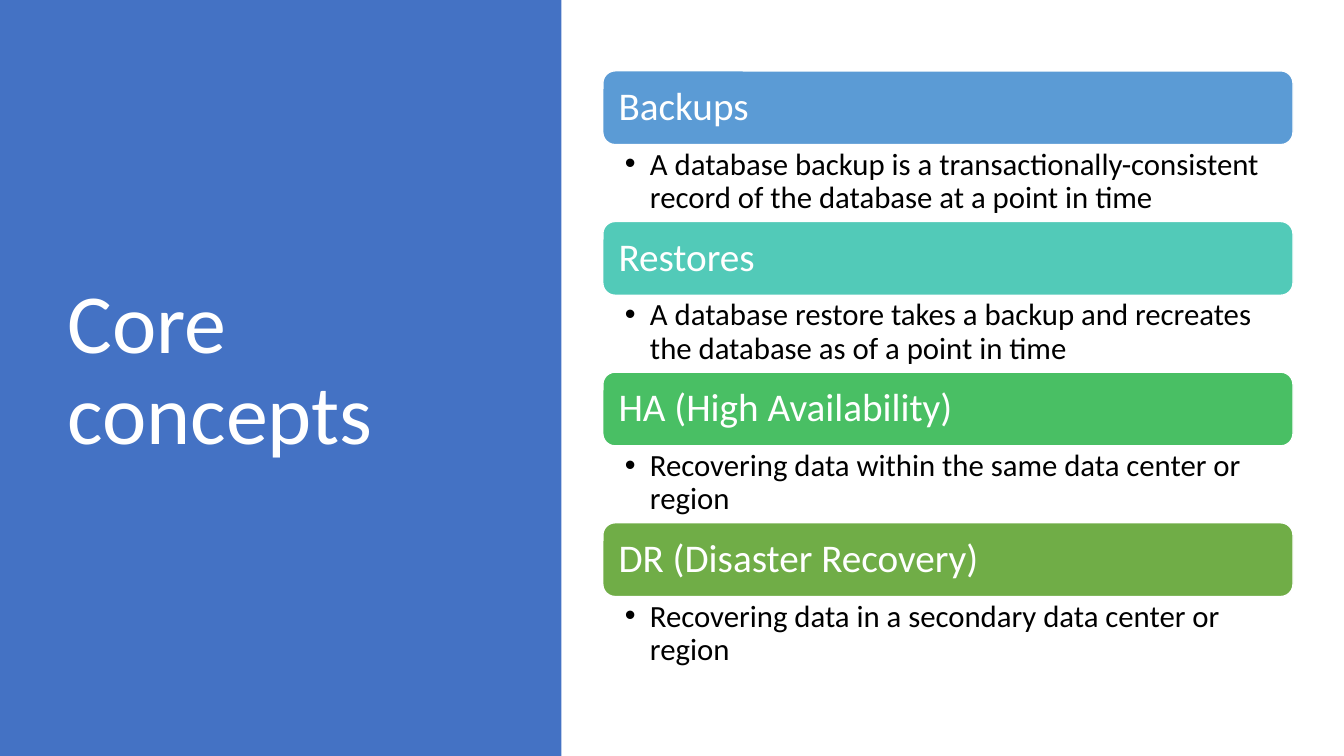
from dataclasses import dataclass

from lxml import etree
from pptx import Presentation
from pptx.dml.color import RGBColor
from pptx.enum.shapes import MSO_SHAPE
from pptx.enum.text import MSO_ANCHOR, MSO_AUTO_SIZE, PP_ALIGN
from pptx.oxml.ns import qn
from pptx.util import Pt

RECTANGLE = MSO_SHAPE.RECTANGLE
ROUNDED = MSO_SHAPE.ROUNDED_RECTANGLE
TOP, MIDDLE = MSO_ANCHOR.TOP, MSO_ANCHOR.MIDDLE
NO_FIT = MSO_AUTO_SIZE.NONE
LEFT = PP_ALIGN.LEFT
TITLE_ONLY = 5


@dataclass(frozen=True)
class Theme:
    font: str = "Calibri"
    white: str = "FFFFFF"
    black: str = "000000"
    panel: str = "4472C4"
    accents: tuple = ("5B9BD5", "52CAB8", "49BF64", "70AD47")
    title_size: float = 60
    heading_size: float = 28
    body_size: float = 22
    line_spacing: float = 0.9


@dataclass(frozen=True)
class Box:
    left: float
    top: float
    width: float
    height: float

    def lengths(self):
        return [Pt(n) for n in (self.left, self.top, self.width, self.height)]


THEME = Theme()
SLIDE = Box(0, 0, 960, 540)
PANEL = Box(0, 0, 401, 540)
CONCEPTS = Box(430.6, 50.6, 493, 430.4)
HEADING_HEIGHT = 52.7

TITLE = "Core concepts"
CONCEPT_TEXTS = [
    ("Backups", "A database backup is a transactionally-consistent record "
                "of the database at a point in time"),
    ("Restores", "A database restore takes a backup and recreates "
                 "the database as of a point in time"),
    ("HA (High Availability)", "Recovering data within the same data center or region"),
    ("DR (Disaster Recovery)", "Recovering data in a secondary data center or region"),
]


def add_bullet(para, indent):
    properties = para._p.get_or_add_pPr()
    properties.set("marL", str(Pt(indent)))
    properties.set("indent", str(-Pt(indent)))
    etree.SubElement(properties, qn("a:buFont")).set("typeface", "Arial")
    etree.SubElement(properties, qn("a:buChar")).set("char", "•")


def write_text(shape, text, size, color, anchor, inset_x, inset_y, bullet_indent=0):
    frame = shape.text_frame
    frame.text = text
    frame_format = {
        "word_wrap": True, "auto_size": NO_FIT, "vertical_anchor": anchor,
        "margin_left": Pt(inset_x), "margin_right": Pt(inset_x),
        "margin_top": Pt(inset_y), "margin_bottom": Pt(inset_y),
    }
    para = frame.paragraphs[0]
    if bullet_indent:
        add_bullet(para, bullet_indent)
    para_format = {"alignment": LEFT, "line_spacing": THEME.line_spacing}
    span = para.runs[0]
    font_format = {"name": THEME.font, "size": Pt(size)}
    for target, values in ((frame, frame_format), (para, para_format),
                           (span.font, font_format)):
        for name, value in values.items():
            setattr(target, name, value)
    span.font.color.rgb = RGBColor.from_string(color)


def add_filled(page, kind, box, fill):
    shape = page.shapes.add_shape(kind, *box.lengths())
    shape.shadow.inherit = False
    shape.fill.solid()
    shape.fill.fore_color.rgb = RGBColor.from_string(fill)
    return shape


def title_panel(page, box):
    panel = add_filled(page, RECTANGLE, box, THEME.panel)
    panel.line.fill.background()

    # Title sits in front of the panel
    title = page.shapes.title
    title._element.addprevious(panel._element)
    place = Box(box.left + 41, box.top + 49, 299.5, box.height - 106.5)
    title.left, title.top, title.width, title.height = place.lengths()
    write_text(title, TITLE, THEME.title_size, THEME.white, MIDDLE, 7.2, 3.6)


def concept(page, box, heading, detail, color):
    # Coloured heading bar
    bar_box = Box(box.left, box.top, box.width, HEADING_HEIGHT)
    bar = add_filled(page, ROUNDED, bar_box, color)
    bar.line.color.rgb = RGBColor.from_string(THEME.white)
    bar.line.width = Pt(1)
    write_text(bar, heading, THEME.heading_size, THEME.white, MIDDLE, 8.7, 8.7)

    # Bulleted explanation
    detail_box = Box(box.left, box.top + HEADING_HEIGHT, box.width,
                     box.height - HEADING_HEIGHT)
    body = page.shapes.add_textbox(*detail_box.lengths())
    write_text(body, detail, THEME.body_size, THEME.black, TOP, 15.7, 2.8,
               bullet_indent=18)


def concept_list(page, box):
    step = box.height / len(CONCEPT_TEXTS)
    for index, (heading, detail) in enumerate(CONCEPT_TEXTS):
        row = Box(box.left, box.top + index * step, box.width, step)
        concept(page, row, heading, detail, THEME.accents[index])


def main():
    deck = Presentation()
    deck.slide_width, deck.slide_height = Pt(SLIDE.width), Pt(SLIDE.height)
    page = deck.slides.add_slide(deck.slide_layouts[TITLE_ONLY])
    title_panel(page, PANEL)
    concept_list(page, CONCEPTS)
    deck.save("out.pptx")


if __name__ == "__main__":
    main()
